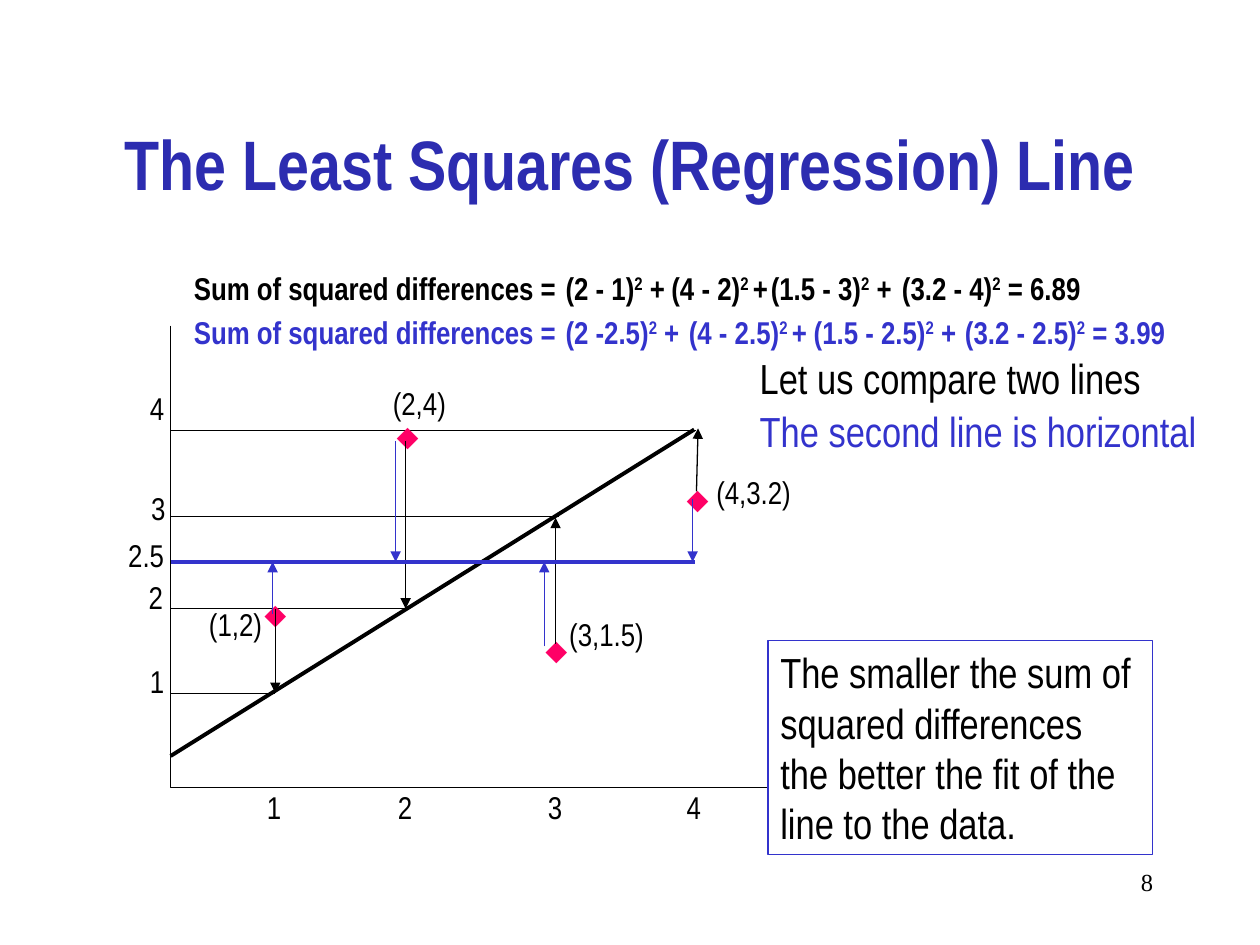
from lxml import etree
from pptx import Presentation
from pptx.dml.color import RGBColor
from pptx.enum.dml import MSO_LINE
from pptx.enum.shapes import MSO_CONNECTOR, MSO_SHAPE
from pptx.enum.text import MSO_ANCHOR, PP_ALIGN
from pptx.oxml.ns import qn
from pptx.util import Pt

STRAIGHT, RECT = MSO_CONNECTOR.STRAIGHT, MSO_SHAPE.RECTANGLE
MIDDLE, DOTTED = MSO_ANCHOR.MIDDLE, MSO_LINE.ROUND_DOT
LEFT, CENTER, RIGHT = PP_ALIGN.LEFT, PP_ALIGN.CENTER, PP_ALIGN.RIGHT
COLORS = {"black": "000000", "blue": "3333CC", "title": "2C2CB0",
          "marker": "FF0066", "white": "FFFFFF"}
NARROW = "Arial Narrow"


class Board:
    """Draws styled elements on the current slide, in points."""

    def __init__(self, prs):
        self.s = prs.slides.add_slide(prs.slide_layouts[6])

    def rgb(self, color):
        return RGBColor.from_string(COLORS[color])

    def style(self, font, size, color, bold=False, name=NARROW):
        font.size, font.bold, font.name = Pt(size), bold, name
        font.color.rgb = self.rgb(color)

    def fill_text(self, sp, text, size, color, align=LEFT, **style):
        tf = sp.text_frame
        tf.text = text
        tf.word_wrap = True
        if align == LEFT:
            tf.margin_right = 0
        for p in tf.paragraphs:
            p.alignment = align
            for r in p.runs:
                self.style(r.font, size, color, **style)
        return tf

    def text(self, x, y, w, text, size=18, color="black", h=28.8, **style):
        sp = self.s.shapes.add_textbox(Pt(x), Pt(y), Pt(w), Pt(h))
        return self.fill_text(sp, text, size, color, **style)

    def square(self, x, y, w, base, sup, rest, color):
        p = self.text(x, y, w, base, color=color, bold=True).paragraphs[0]
        for part in (sup, rest):
            r = p.add_run()
            r.text = part
            self.style(r.font, 18, color, bold=True)
        p.runs[1]._r.get_or_add_rPr().set("baseline", "30000")

    def line(self, x1, y1, x2, y2, color="black", width=0.75, arrow=False, dash=None):
        c = self.s.shapes.add_connector(STRAIGHT, Pt(x1), Pt(y1), Pt(x2), Pt(y2))
        c.line.color.rgb = self.rgb(color)
        c.line.width = Pt(width)
        if dash:
            c.line.dash_style = dash
        if arrow:
            etree.SubElement(c.line._get_or_add_ln(), qn("a:tailEnd"), type="triangle")
        etree.SubElement(c._element.spPr, qn("a:effectLst"))

    def outline(self, points):
        pts = [(Pt(x), Pt(y)) for x, y in points]
        fb = self.s.shapes.build_freeform(*pts[0])
        fb.add_line_segments(pts[1:], close=False)
        sp = fb.convert_to_shape()
        sp.shadow.inherit = False
        sp.fill.background()
        sp.line.color.rgb = self.rgb("black")
        sp.line.width = Pt(0.75)

    def box(self, x, y, w, h, text):
        sp = self.s.shapes.add_shape(RECT, Pt(x), Pt(y), Pt(w), Pt(h))
        sp.shadow.inherit = False
        sp.fill.solid()
        sp.fill.fore_color.rgb = self.rgb("white")
        sp.line.color.rgb = self.rgb("blue")
        sp.line.width = Pt(0.75)
        self.fill_text(sp, text, 24, "black")


def main():
    prs = Presentation()
    prs.slide_width, prs.slide_height = Pt(720), Pt(540)
    b = Board(prs)

    tf = b.text(54, 48, 612, "The Least Squares (Regression) Line", 40, "title",
                h=90, align=CENTER, bold=True)
    tf.vertical_anchor = MIDDLE
    b.text(516.2, 491.8, 149.8, "8", 14, h=36, align=RIGHT, name="Times New Roman")

    axis_x, axis_y, mean_y = 97.5, 450, 321.1
    b.outline([(axis_x, 186), (axis_x, axis_y), (469.4, axis_y)])
    for n, x in enumerate((145.4, 220.3, 306, 385.2), 1):
        b.text(x, 446.7, 22.3, str(n))
    for label, x, y, w in (("1", 78.5, 374.7, 22.3), ("2", 77.8, 326.9, 22.3),
                           ("2.5", 66.2, 302.7, 34.6), ("3", 79.2, 275.8, 22.3),
                           ("4", 78.5, 218.9, 22.3)):
        b.text(x, y, w, label)
    for x, y in ((157, 396), (231.8, 347.8), (319, 295.2), (397.4, 246)):
        b.line(axis_x, y, x, y, width=0.25, dash=DOTTED)

    for x, y in ((144, 336.2), (219.6, 234), (304.6, 356.4), (385.2, 270)):
        b.text(x, y, 25.2, "⬥", color="marker", name="Arial")
    for label, x, y, w in (("(1,2)", 112.3, 342, 44.6), ("(2,4)", 217.4, 216, 44.6),
                           ("(3,1.5)", 318.2, 347.8, 56.9),
                           ("(4,3.2)", 402.2, 266.7, 56.9)):
        b.text(x, y, w, label)

    b.line(axis_x, 432, 396.7, 245.5, width=2.25)
    for ends in ((157.3, 347.8, 157.3, 396), (231.8, 252, 231.8, 347.8),
                 (317.5, 367.9, 317.5, 295.9), (398, 280.8, 398.9, 244.8)):
        b.line(*ends, arrow=True)
    b.line(axis_x, mean_y, 397.4, mean_y, "blue", 2.25)
    for x, y in ((155.8, 350.6), (226.1, 252), (311, 369.4), (395.8, 285.1)):
        b.line(x, y, x, mean_y, "blue", arrow=True)

    sums = (
        (150.1, "black", ((316.1, 71.3, "(2 - 1)", "2", " +"),
                          (376.6, 69.1, "(4 - 2)", "2 ", "+"),
                          (433.4, 83.5, "(1.5 - 3)", "2", " +"),
                          (508.3, 115.9, "(3.2 - 4)", "2", " = 6.89"))),
        (175.3, "blue", ((316.1, 79.2, "(2 -2.5)", "2", " +"),
                         (386.6, 81.4, "(4 - 2.5)", "2 ", "+"),
                         (457.9, 95.8, "(1.5 - 2.5)", "2", " +"),
                         (544.3, 128.9, "(3.2 - 2.5)", "2", " = 3.99"))),
    )
    for y, color, terms in sums:
        b.text(103.7, y, 221, "Sum of squared differences =", color=color, bold=True)
        for x, w, *parts in terms:
            b.square(x, y, w, *parts, color)

    b.text(427, 198, 231.8, "Let us compare two lines", 24, h=36)
    b.text(427, 228.2, 263.5, "The second line is horizontal", 24, "blue", h=36)
    b.box(438.8, 366, 219.6, 122.4, "The smaller the sum of\nsquared differences\n"
          "the better the fit of the\nline to the data.")
    prs.save("out.pptx")


if __name__ == "__main__":
    main()
